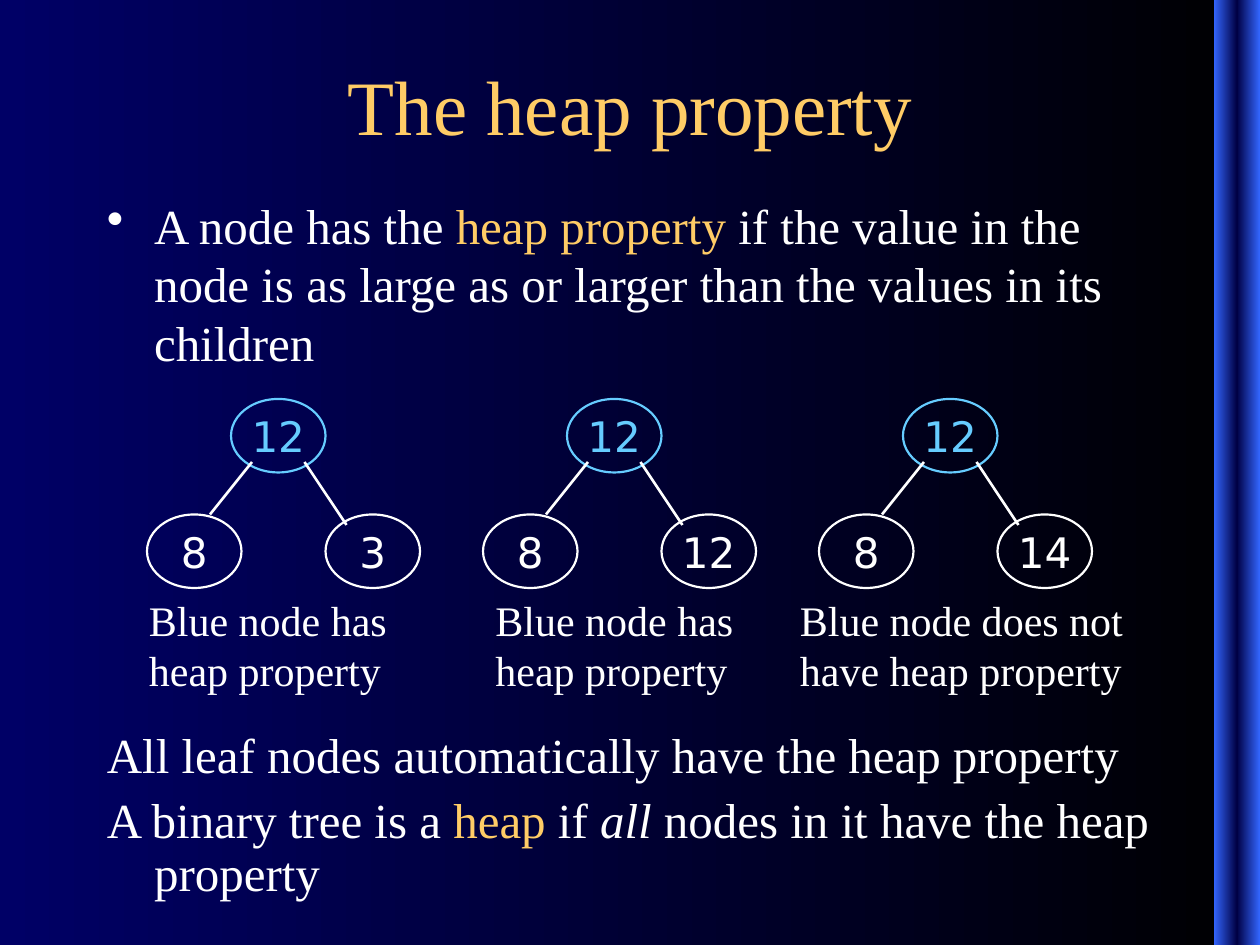
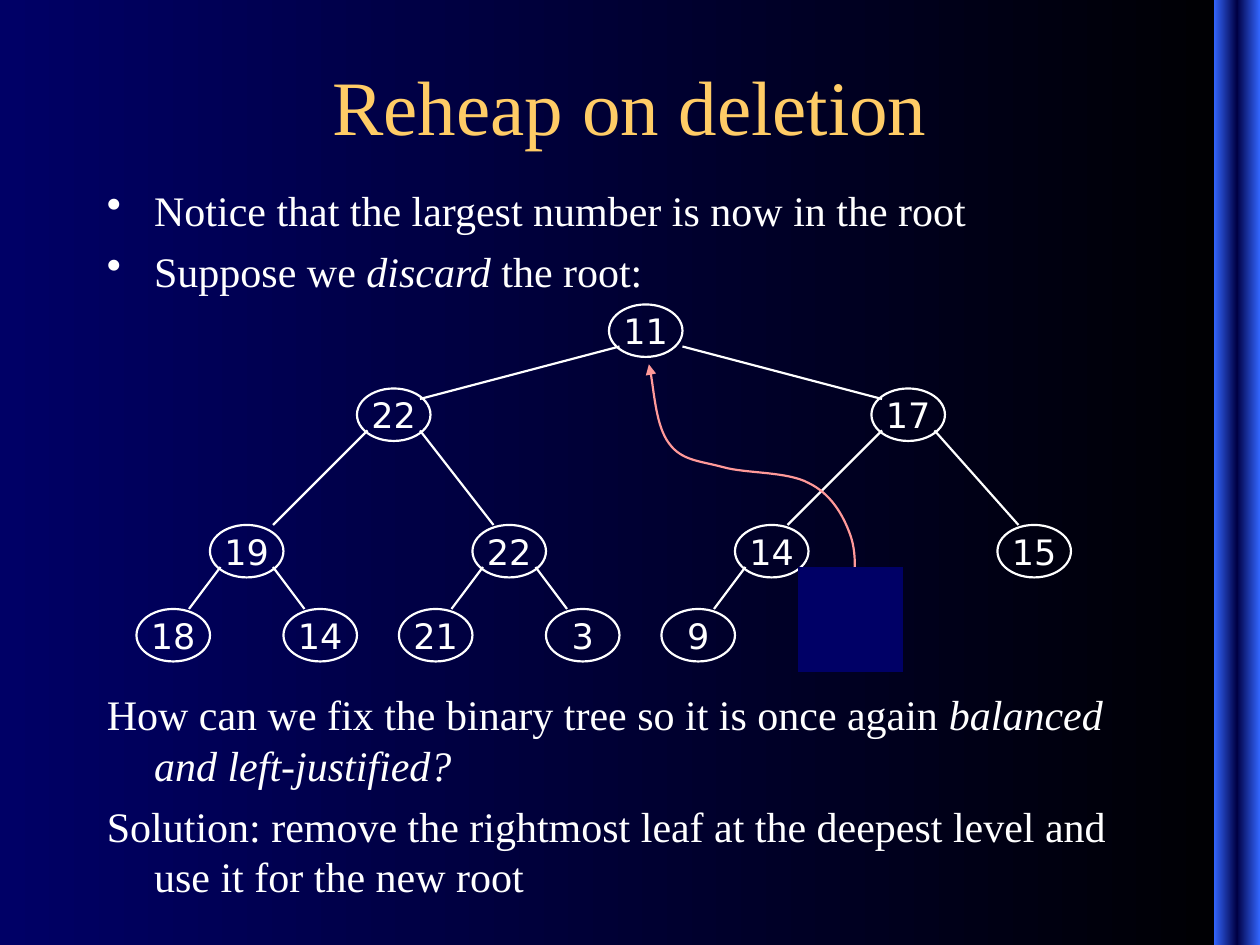
from dataclasses import dataclass

from lxml.etree import SubElement
from pptx import Presentation
from pptx.dml.color import RGBColor
from pptx.enum.shapes import MSO_CONNECTOR as Connector
from pptx.enum.shapes import MSO_SHAPE as Shape
from pptx.enum.text import MSO_ANCHOR as Anchor
from pptx.enum.text import PP_ALIGN as Align
from pptx.oxml.ns import qn
from pptx.util import Emu, Pt

PX = 7620  # EMU in one px, 120 px to the inch
PAGE_WIDTH, PAGE_HEIGHT = 1200, 900
HANGING = 45


@dataclass(frozen=True)
class Theme:
    navy: str = "000066"
    black: str = "000000"
    band_edge: str = "3366FF"
    band_core: str = "000044"
    white: str = "FFFFFF"
    gold: str = "FFCC66"
    sky: str = "66CCFF"
    salmon: str = "FF9999"
    text_font: str = "Times New Roman"
    node_font: str = "DejaVu Sans"
    title_size: int = 44
    large: int = 28
    medium: int = 24
    small: int = 20
    thin: float = 1.25
    thick: float = 1.5


THEME = Theme()


def px(*lengths):
    return [Emu(round(length * PX)) for length in lengths]


def rgb(colour):
    return RGBColor.from_string(colour)


def style_font(font, size, colour=THEME.white, name=THEME.text_font, italic=False):
    font.size, font.name, font.italic = Pt(size), name, italic
    font.color.rgb = rgb(colour)


def style_line(line, colour, width):
    line.color.rgb = rgb(colour)
    line.width = Pt(width)


def paint_gradient(owner, fill, colours):
    """Fill from right to left with evenly spaced colours."""
    fill.gradient()
    fill.gradient_angle = 180
    stops = owner.element.find(".//" + qn("a:gsLst"))
    for stop in list(stops):
        stops.remove(stop)
    for index, colour in enumerate(colours):
        position = str(100000 * index // (len(colours) - 1))
        stop = SubElement(stops, qn("a:gs"), pos=position)
        SubElement(stop, qn("a:srgbClr"), val=colour)


def add_shape(page, kind, frame):
    shape = page.shapes.add_shape(kind, *px(*frame))
    shape.shadow.inherit = False
    shape.line.fill.background()
    return shape


def add_text_box(page, frame):
    box = page.shapes.add_textbox(*px(*frame))
    box.text_frame.word_wrap = True
    return box.text_frame


def new_page(deck, title):
    page = deck.slides.add_slide(deck.slide_layouts[6])
    paint_gradient(page, page.background.fill, [THEME.black, THEME.navy])
    band = add_shape(page, Shape.RECTANGLE, (1156, 0, 44, PAGE_HEIGHT))
    paint_gradient(band, band.fill, [THEME.band_edge, THEME.band_core, THEME.band_edge])
    frame = add_text_box(page, (40, 50, 1120, 100))
    frame.vertical_anchor = Anchor.MIDDLE
    frame.text = title
    para = frame.paragraphs[0]
    para.alignment = Align.CENTER
    style_font(para.runs[0].font, THEME.title_size, THEME.gold)
    return page


def hang_indent(para, bullet):
    margin = str(HANGING * PX)
    properties = para._p.get_or_add_pPr()
    properties.set("marL", margin)
    properties.set("indent", "-" + margin)
    if bullet:
        colour = SubElement(properties, qn("a:buClr"))
        SubElement(colour, qn("a:srgbClr"), val=THEME.white)
        SubElement(properties, qn("a:buChar"), char="•")
    else:
        SubElement(properties, qn("a:buNone"))


def add_body(page, frame, paragraphs, size, gap, bullet=False, spacing=None):
    """Each paragraph is a list of (text, font changes) spans."""
    text_frame = add_text_box(page, frame)
    for index, spans in enumerate(paragraphs):
        para = text_frame.add_paragraph() if index else text_frame.paragraphs[0]
        para.space_before = Pt(gap)
        para.line_spacing = spacing
        hang_indent(para, bullet)
        for text, changes in spans:
            span = para.add_run()
            span.text = text
            style_font(span.font, size, **changes)


def add_caption(page, frame, text):
    text_frame = add_text_box(page, frame)
    text_frame.text = text
    para = text_frame.paragraphs[0]
    para.space_before = Pt(15)
    style_font(para.runs[0].font, THEME.medium)


def add_node(page, frame, value, size, colour=THEME.white):
    node = add_shape(page, Shape.OVAL, frame)
    node.fill.background()
    style_line(node.line, colour, THEME.thin)
    text_frame = node.text_frame
    text_frame.word_wrap = False
    text_frame.vertical_anchor = Anchor.MIDDLE
    text_frame.text = value
    para = text_frame.paragraphs[0]
    para.alignment = Align.CENTER
    style_font(para.runs[0].font, size, colour, THEME.node_font)


def add_edge(page, parent, leave, child, enter, width):
    """Join two node corners, each end moved by its own offset."""
    start = [corner + offset for corner, offset in zip(parent, leave)]
    end = [corner + offset for corner, offset in zip(child, enter)]
    edge = page.shapes.add_connector(Connector.STRAIGHT, *px(*start, *end))
    style_line(edge.line, THEME.white, width)
    SubElement(edge.element.spPr, qn("a:effectLst"))


def add_curved_arrow(page, start, curves, colour):
    """Each curve is two control points and an end point."""
    builder = page.shapes.build_freeform(*start, scale=float(PX))
    builder.add_line_segments([curve[-1] for curve in curves], close=False)
    arrow = builder.convert_to_shape()
    arrow.shadow.inherit = False
    arrow.fill.background()
    style_line(arrow.line, colour, THEME.thin)
    SubElement(arrow.element.spPr.find(qn("a:ln")), qn("a:tailEnd"), type="triangle")
    anchors = [start] + [curve[-1] for curve in curves]
    left, top = (min(values) for values in zip(*anchors))
    outline = arrow.element.find(".//" + qn("a:path"))
    for segment in outline.findall(qn("a:lnTo")):
        outline.remove(segment)
    for curve in curves:
        bezier = SubElement(outline, qn("a:cubicBezTo"))
        for x, y in curve:
            SubElement(bezier, qn("a:pt"), x=str(x - left), y=str(y - top))


def add_small_heap(page, left, right_value, caption_left, caption_width, caption):
    root, left_leaf, right_leaf = (left + 80, 380), (left, 490), (left + 170, 490)
    size = (90, 70)
    add_node(page, root + size, "12", THEME.medium, THEME.sky)
    add_node(page, left_leaf + size, "8", THEME.medium)
    add_node(page, right_leaf + size, right_value, THEME.medium)
    add_edge(page, root, (20, 60), left_leaf, (60, 0), THEME.thick)
    add_edge(page, root, (70, 60), right_leaf, (20, 10), THEME.thick)
    add_caption(page, (caption_left, 560, caption_width, 108), caption)


def add_heap_property(deck):
    page = new_page(deck, "The heap property")
    gold = {"colour": THEME.gold}
    add_body(page, (90, 180, 1020, 190), [
        [("A node has the ", {}), ("heap property", gold),
         (" if the value in the node is as large as or larger than "
          "the values in its children", {})],
    ], THEME.large, 7, bullet=True)
    add_body(page, (90, 690, 1050, 225), [
        [("All leaf nodes automatically have the heap property", {})],
        [("A binary tree is a ", {}), ("heap", gold), (" if ", {}),
         ("all", {"italic": True}), (" nodes in it have the heap property", {})],
    ], THEME.large, 7, spacing=0.9)
    heaps = [
        ("3", 130, 260, "Blue node has heap property"),
        ("12", 460, 260, "Blue node has heap property"),
        ("14", 750, 340, "Blue node does not have heap property"),
    ]
    for index, heap in enumerate(heaps):
        add_small_heap(page, 140 + 320 * index, *heap)


def add_deletion_tree(page):
    size = (70, 50)
    root, left, right = (580, 290), (340, 370), (830, 370)
    inner = [(200, 500), (450, 500), (700, 500), (950, 500)]
    leaves = [(130, 580), (270, 580), (380, 580), (520, 580), (630, 580)]
    places = [left, right] + inner + leaves
    values = "22 17 19 22 14 15 18 14 21 3 9".split()
    for place, value in zip(places, values):
        add_node(page, place + size, value, THEME.small)

    from_left, from_right = (10, 40), (60, 40)
    edges = [
        (root, from_left, left, (60, 10)),
        (root, (70, 40), right, (10, 10)),
        (left, from_left, inner[0], (60, 0)),
        (left, from_right, inner[1], (20, 0)),
        (right, from_left, inner[2], (50, 0)),
        (right, from_right, inner[3], (20, 0)),
    ]
    for index, leaf in enumerate(leaves):
        leave, enter = (from_right, (20, 0)) if index % 2 else (from_left, (50, 0))
        edges.append((inner[index // 2], leave, leaf, enter))
    for edge in edges:
        add_edge(page, *edge, THEME.thin)

    add_curved_arrow(page, (810, 580), [
        [(814, 556), (817, 530), (810, 510)],
        [(803, 490), (791, 470), (770, 460)],
        [(750, 449), (710, 451), (689, 445)],
        [(667, 439), (649, 439), (637, 422)],
        [(625, 406), (622, 362), (618, 347)],
    ], THEME.salmon)
    add_node(page, root + size, "11", THEME.small)
    removed_leaf = add_shape(page, Shape.RECTANGLE, (760, 540, 100, 100))
    removed_leaf.fill.solid()
    removed_leaf.fill.fore_color.rgb = rgb(THEME.navy)


def add_reheap(deck):
    page = new_page(deck, "Reheap on deletion")
    italic = {"italic": True}
    add_body(page, (90, 170, 1020, 130), [
        [("Notice that the largest number is now in the root", {})],
        [("Suppose we ", {}), ("discard", italic), (" the root:", {})],
    ], THEME.medium, 6, bullet=True)
    add_body(page, (90, 650, 1020, 220), [
        [("How can we fix the binary tree so it is once again ", {}),
         ("balanced and left-justified?", italic)],
        [("Solution: remove the rightmost leaf at the deepest level "
          "and use it for the new root", {})],
    ], THEME.medium, 6)
    add_deletion_tree(page)


def main():
    deck = Presentation()
    deck.slide_width, deck.slide_height = px(PAGE_WIDTH, PAGE_HEIGHT)
    add_heap_property(deck)
    add_reheap(deck)
    deck.save("out.pptx")


if __name__ == "__main__":
    main()
